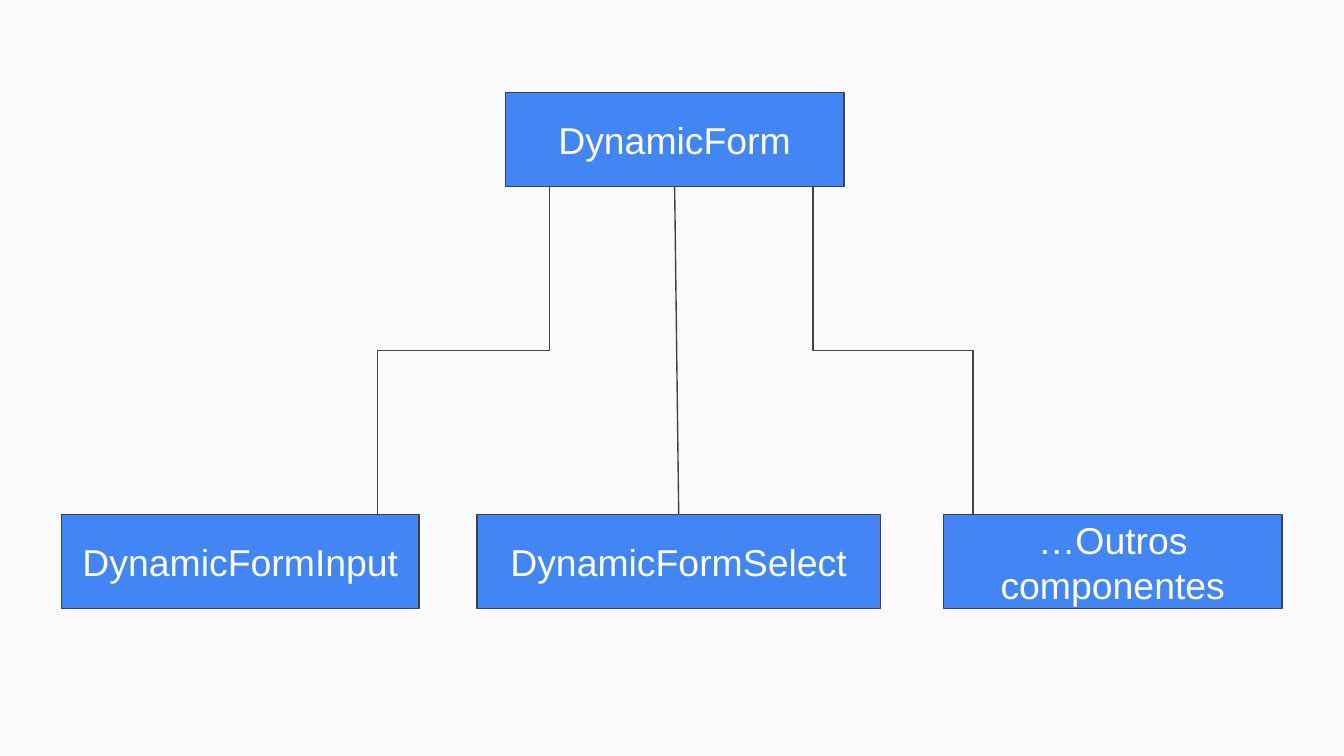
from dataclasses import dataclass

from pptx import Presentation
from pptx.dml.color import RGBColor
from pptx.enum.shapes import MSO_CONNECTOR as Link, MSO_SHAPE as Preset
from pptx.enum.text import MSO_ANCHOR as Anchor, PP_ALIGN as Align
from pptx.oxml.ns import qn
from pptx.oxml.xmlchemy import OxmlElement
from pptx.util import Inches, Pt


@dataclass(frozen=True)
class Theme:
    """Colours and type of the diagram."""
    background: RGBColor = RGBColor.from_string("FAFAFA")
    box: RGBColor = RGBColor.from_string("4285F4")
    line: RGBColor = RGBColor.from_string("424242")
    text: RGBColor = RGBColor.from_string("FFFFFF")
    font: str = "Arial"
    size: float = 20
    line_width: float = 0.75


THEME = Theme()
BOX_HEIGHT = 0.7


def style_line(line):
    """Apply the diagram's outline."""
    line.color.rgb = THEME.line
    line.width = Pt(THEME.line_width)


def add_component(slide, label, left, top, width):
    """Draw one labelled component box."""
    component = slide.shapes.add_shape(
        Preset.RECTANGLE, Inches(left), Inches(top), Inches(width), Inches(BOX_HEIGHT))
    component.shadow.inherit = False
    component.fill.solid()
    component.fill.fore_color.rgb = THEME.box
    style_line(component.line)
    frame = component.text_frame
    frame.word_wrap = True
    frame.vertical_anchor = Anchor.MIDDLE
    frame.margin_left = frame.margin_right = Inches(0.1)
    frame.margin_top = frame.margin_bottom = Inches(0.1)
    frame.text = label
    paragraph = frame.paragraphs[0]
    paragraph.alignment = Align.CENTER
    font = paragraph.runs[0].font
    font.name, font.size = THEME.font, Pt(THEME.size)
    font.color.rgb = THEME.text
    return component


def add_link(slide, kind, start, end):
    """Draw a plain connector between two points."""
    link = slide.shapes.add_connector(kind, *map(Inches, (*start, *end)))
    style_line(link.line)
    link._element.spPr.append(OxmlElement("a:effectLst"))
    return link


def add_vertical_elbow(slide, child, parent):
    """Draw an elbow that rises from child to parent, turning halfway."""
    run, rise = parent[0] - child[0], child[1] - parent[1]
    middle_x, middle_y = (child[0] + parent[0]) / 2, (child[1] + parent[1]) / 2
    direction = 1 if run > 0 else -1
    start = (middle_x - direction * rise / 2, middle_y - abs(run) / 2)
    end = (middle_x + direction * rise / 2, middle_y + abs(run) / 2)
    elbow = add_link(slide, Link.ELBOW, start, end)
    degrees = 270 if run > 0 else 90
    elbow._element.spPr.find(qn("a:xfrm")).set("rot", str(degrees * 60000))


def add_hierarchy(slide, left, top, width, height):
    """Draw the form component above the components it renders."""
    children_top = top + height - BOX_HEIGHT
    form_bottom = top + BOX_HEIGHT
    form = add_component(slide, "DynamicForm", left + 3.3, top, 2.52)
    add_component(slide, "DynamicFormInput", left, children_top, 2.66)
    select = add_component(slide, "DynamicFormSelect", left + 3.09, children_top, 3)
    add_component(slide, "…Outros componentes", left + width - 2.52, children_top, 2.52)

    for child_x, form_x in ((2.35, 3.63), (6.78, 5.59)):
        add_vertical_elbow(
            slide, (left + child_x, children_top), (left + form_x, form_bottom))
    trunk = add_link(slide, Link.STRAIGHT,
                     (left + 4.56, form_bottom), (left + 4.59, children_top))
    trunk.begin_connect(form, 2)
    trunk.end_connect(select, 0)


def main():
    """Build and save the slide."""
    deck = Presentation()
    deck.slide_width = Inches(10)
    deck.slide_height = deck.slide_width * 9 // 16
    slide = deck.slides.add_slide(deck.slide_layouts[6])
    slide.background.fill.solid()
    slide.background.fill.fore_color.rgb = THEME.background
    add_hierarchy(slide, 0.46, 0.69, 9.08, 3.84)
    deck.save("out.pptx")


if __name__ == "__main__":
    main()
